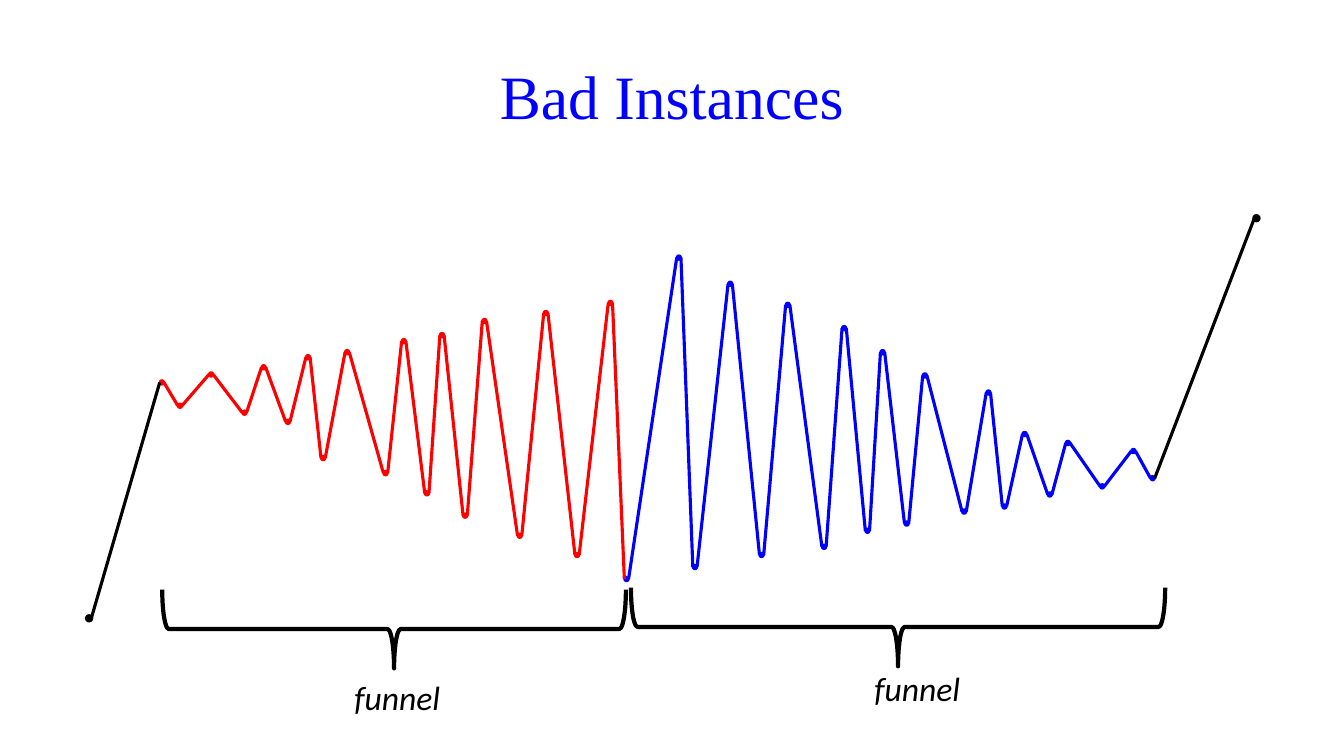
"""Builds the slide "Bad Instances": two zigzag funnels between two end points."""
from itertools import pairwise
from lxml import etree
from pptx import Presentation
from pptx.dml.color import RGBColor
from pptx.enum import shapes, text
from pptx.util import Pt

BLACK = RGBColor(0, 0, 0)
RED = RGBColor(255, 0, 0)
BLUE = RGBColor(0, 0, 255)
START, FINISH = (63.7, 441.7), (897.5, 155.9)
GROWING = [
    (115.6, 273.2), (128.5, 289.8), (150.8, 267.5), (174.6, 294.8),
    (188.3, 262.4), (205.6, 301.3), (220, 255.2), (230.8, 327.2),
    (248, 251.6), (275.4, 338), (288.4, 243.7), (304.9, 352.4),
    (315.7, 239.4), (332.3, 368.3), (346, 229.3), (371.2, 382.7),
    (389.9, 223.6), (412.2, 396.4), (436, 216.4),
]
FADING = [
    (447.5, 413.6), (484.9, 184), (496.4, 405), (521.6, 202.7),
    (544, 396.4), (562.7, 217.8), (588.6, 390.6), (603, 234.4),
    (619.6, 379.1), (630.4, 251.6), (647.6, 374), (660.6, 268.2),
    (688.7, 365.4), (706, 280.4), (717.5, 361.8), (731.9, 310),
    (749.9, 353.2), (762.8, 316.4), (787.3, 347.4), (809.6, 322.2),
    (823.3, 341.6),
]
BRACES = [(253.4, 283.7, 56.2, 331.2), (613.4, 257, 56.2, 381.6)]
LABELS = [(218.2, 480.2), (589.7, 473.8)]
INSET = 1.5


def write(frame, words, size, font, color, italic=False, spacing=None):
    """Put one centred, formatted paragraph in a text frame."""
    frame.word_wrap = True
    par = frame.paragraphs[0]
    par.alignment = text.PP_ALIGN.CENTER
    par.line_spacing = spacing
    run = par.add_run()
    run.text = words
    run.font.size = Pt(size)
    run.font.name = font
    run.font.italic = italic
    run.font.color.rgb = color


def add_dot(slide, center, size, color):
    """Draw a filled round vertex about its center."""
    x, y = center
    dot = slide.shapes.add_shape(
        shapes.MSO_SHAPE.OVAL, Pt(x - size / 2), Pt(y - size / 2), Pt(size), Pt(size))
    dot.shadow.inherit = False
    dot.fill.solid()
    dot.fill.fore_color.rgb = color
    dot.line.color.rgb = color
    dot.line.width = Pt(1)


def add_edge(slide, left, right, color):
    """Join two vertices, left to right, just inside their rims."""
    edge = slide.shapes.add_connector(
        shapes.MSO_CONNECTOR.STRAIGHT,
        Pt(left[0] + INSET), Pt(left[1]), Pt(right[0] - INSET), Pt(right[1]))
    edge.line.color.rgb = color
    edge.line.width = Pt(2.25)
    props = edge._element.spPr
    etree.SubElement(props, props.tag.replace("}spPr", "}effectLst").replace(
        "presentationml", "drawingml"))


def add_zigzag(slide, points, end, color):
    """Draw a path through the points to its end, with a dot on each point."""
    for left, right in pairwise(points + end):
        add_edge(slide, left, right, color)
    for point in points:
        add_dot(slide, point, 3.6, color)


def add_brace(slide, box):
    """Draw a brace that points down."""
    brace = slide.shapes.add_shape(shapes.MSO_SHAPE.LEFT_BRACE, *map(Pt, box))
    brace.rotation = 270
    brace.shadow.inherit = False
    brace.fill.background()
    brace.line.color.rgb = BLACK
    brace.line.width = Pt(3)


def add_label(slide, spot):
    """Name a funnel below its brace."""
    x, y = spot
    box = slide.shapes.add_textbox(Pt(x), Pt(y), Pt(131), Pt(36))
    write(box.text_frame, "funnel", 24, "Calibri", BLACK, italic=True)


def add_title(slide):
    """Place and fill the title."""
    title = slide.shapes.title
    title.left, title.top, title.width, title.height = map(Pt, (66, 18.7, 828, 104.4))
    title.text_frame.vertical_anchor = text.MSO_ANCHOR.MIDDLE
    write(title.text_frame, "Bad Instances", 44, "Times New Roman", BLUE, spacing=0.9)


def main():
    """Build and save the slide."""
    deck = Presentation()
    deck.slide_width, deck.slide_height = Pt(960), Pt(540)
    slide = deck.slides.add_slide(deck.slide_layouts[5])
    add_title(slide)
    for box in BRACES:
        add_brace(slide, box)
    for spot in LABELS:
        add_label(slide, spot)
    add_zigzag(slide, FADING, [], BLUE)
    add_zigzag(slide, GROWING, FADING[:1], RED)
    add_edge(slide, START, GROWING[0], BLACK)
    add_edge(slide, FADING[-1], FINISH, BLACK)
    for point in (START, FINISH):
        add_dot(slide, point, 5, BLACK)
    deck.save("out.pptx")


if __name__ == "__main__":
    main()
